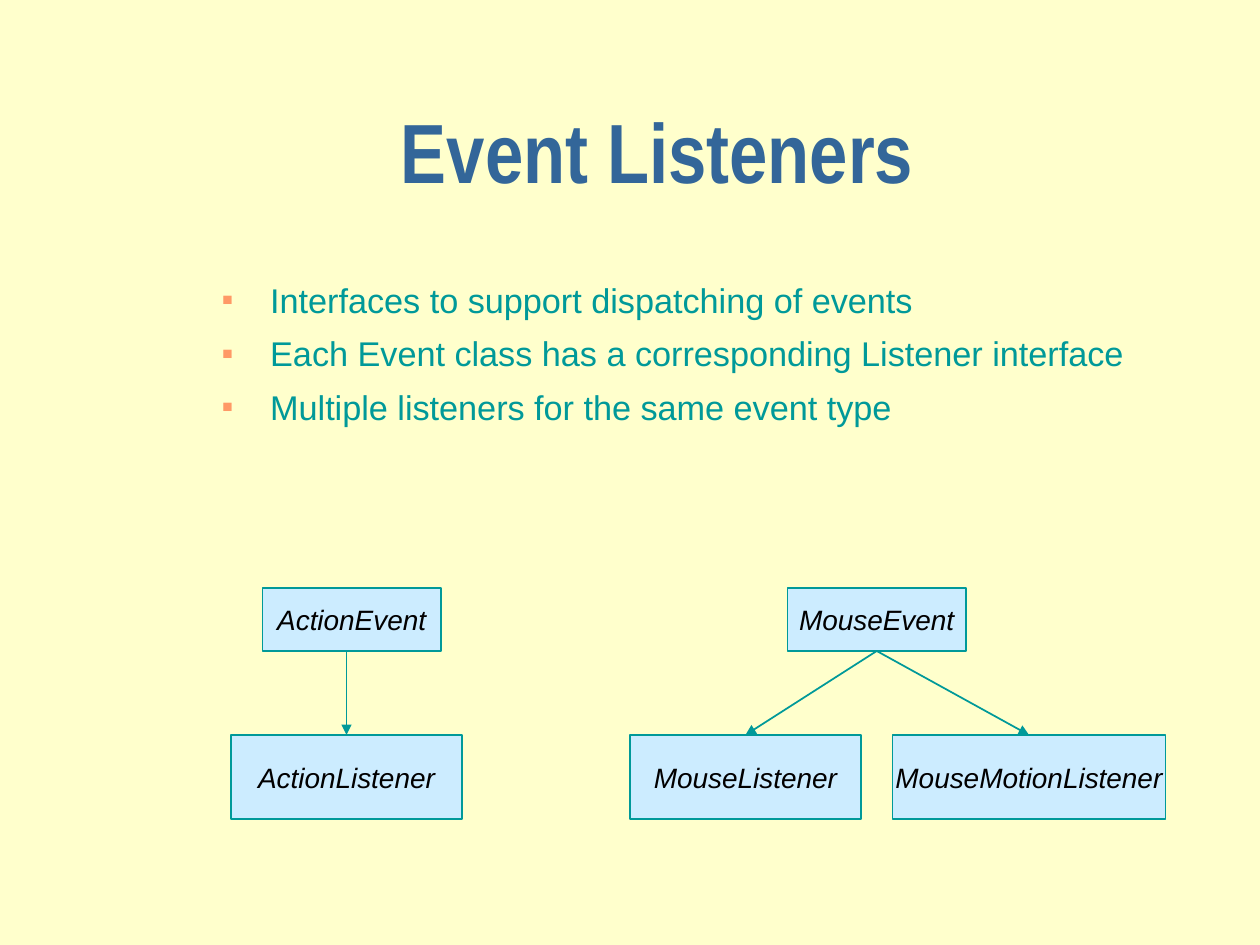
from lxml.etree import SubElement
from pptx import Presentation
from pptx.dml.color import RGBColor
from pptx.enum.shapes import MSO_CONNECTOR, MSO_SHAPE
from pptx.enum.text import MSO_ANCHOR, PP_ALIGN
from pptx.oxml.ns import qn
from pptx.util import Inches, Pt

CREAM = RGBColor(0xFF, 0xFF, 0xCC)
BLUE = RGBColor(0x33, 0x66, 0x99)
TEAL = RGBColor(0x00, 0x99, 0x99)
PALE_BLUE = RGBColor(0xCC, 0xEC, 0xFF)
ORANGE = RGBColor(0xFF, 0x99, 0x66)
BLACK = RGBColor(0x01, 0x00, 0x00)

UNIT = Inches(1) // 12  # the slide is a grid of 120 columns by 90 rows
EVENT_WIDTH, EVENT_HEIGHT = 17, 6
LISTENER_ROW, LISTENER_HEIGHT = 14, 8


def grid(*cells):
    return [round(cell * UNIT) for cell in cells]


def set_font(paragraph, size, color, name="Arial", bold=False, italic=False):
    font = paragraph.font
    font.name, font.size = name, Pt(size)
    font.bold, font.italic = bold, italic
    font.color.rgb = color


def add_title(slide, box, text):
    frame = slide.shapes.add_textbox(*grid(*box)).text_frame
    frame.word_wrap = True
    frame.vertical_anchor = MSO_ANCHOR.MIDDLE
    frame.text = text
    heading = frame.paragraphs[0]
    heading.line_spacing = 0.7
    set_font(heading, 48, BLUE, "Arial Narrow", bold=True)


def add_bullet_list(slide, box, points):
    frame = slide.shapes.add_textbox(*grid(*box)).text_frame
    frame.word_wrap = True
    frame.text = "\n".join(points)
    for index, point in enumerate(frame.paragraphs):
        properties = point._p.get_or_add_pPr()
        properties.set("marL", str(Inches(0.38)))
        properties.set("indent", str(-Inches(0.38)))
        if index:
            point.space_before = Pt(7)
        bullet_color = SubElement(properties, qn("a:buClr"))
        SubElement(bullet_color, qn("a:srgbClr"), val=str(ORANGE))
        SubElement(properties, qn("a:buSzPct"), val="50000")
        SubElement(properties, qn("a:buFont"), typeface="Arial")
        SubElement(properties, qn("a:buChar"), char="■")
        set_font(point, 19.6, TEAL)


def add_class_box(slide, box, name):
    class_box = slide.shapes.add_shape(MSO_SHAPE.RECTANGLE, *grid(*box))
    class_box.shadow.inherit = False
    class_box.fill.solid()
    class_box.fill.fore_color.rgb = PALE_BLUE
    class_box.line.color.rgb = TEAL
    class_box.line.width = Pt(1)
    frame = class_box.text_frame
    frame.word_wrap = False
    frame.vertical_anchor = MSO_ANCHOR.MIDDLE
    frame.text = name
    label = frame.paragraphs[0]
    label.alignment = PP_ALIGN.CENTER
    set_font(label, 16, BLACK, italic=True)
    return class_box


def add_arrow(slide, start, end):
    arrow = slide.shapes.add_connector(
        MSO_CONNECTOR.STRAIGHT, *grid(*start), *grid(*end))
    arrow.line.color.rgb = TEAL
    arrow.line.width = Pt(1)
    SubElement(arrow.line._get_or_add_ln(), qn("a:tailEnd"), type="triangle")
    SubElement(arrow._element.spPr, qn("a:effectLst"))
    return arrow


def add_event_tree(slide, left, top, event, event_column, start_column, listeners):
    """Draw an event above its listeners, given as (name, column, width)."""
    event_box = add_class_box(
        slide, (left + event_column, top, EVENT_WIDTH, EVENT_HEIGHT), event)
    listener_top = top + LISTENER_ROW
    for name, column, width in listeners:
        listener_left = left + column
        listener_box = add_class_box(
            slide, (listener_left, listener_top, width, LISTENER_HEIGHT), name)
        arrow = add_arrow(
            slide, (left + start_column, top + EVENT_HEIGHT),
            (listener_left + width / 2, listener_top))
        if start_column == event_column + EVENT_WIDTH / 2:
            arrow.begin_connect(event_box, 2)
        arrow.end_connect(listener_box, 0)


def main():
    presentation = Presentation()
    presentation.slide_width, presentation.slide_height = grid(120, 90)
    slide = presentation.slides.add_slide(presentation.slide_layouts[6])
    slide.background.fill.solid()
    slide.background.fill.fore_color.rgb = CREAM

    add_title(slide, (37, 8, 80, 15), "Event Listeners")
    add_bullet_list(slide, (20, 26, 97, 20), [
        "Interfaces to support dispatching of events",
        "Each Event class has a corresponding Listener interface",
        "Multiple listeners for the same event type",
    ])
    add_event_tree(slide, 22, 56, "ActionEvent", 3, 11,
                   [("ActionListener", 0, 22)])
    add_event_tree(slide, 60, 56, "MouseEvent", 15, 23.5,
                   [("MouseListener", 0, 22), ("MouseMotionListener", 25, 26)])

    presentation.save("out.pptx")


if __name__ == "__main__":
    main()
